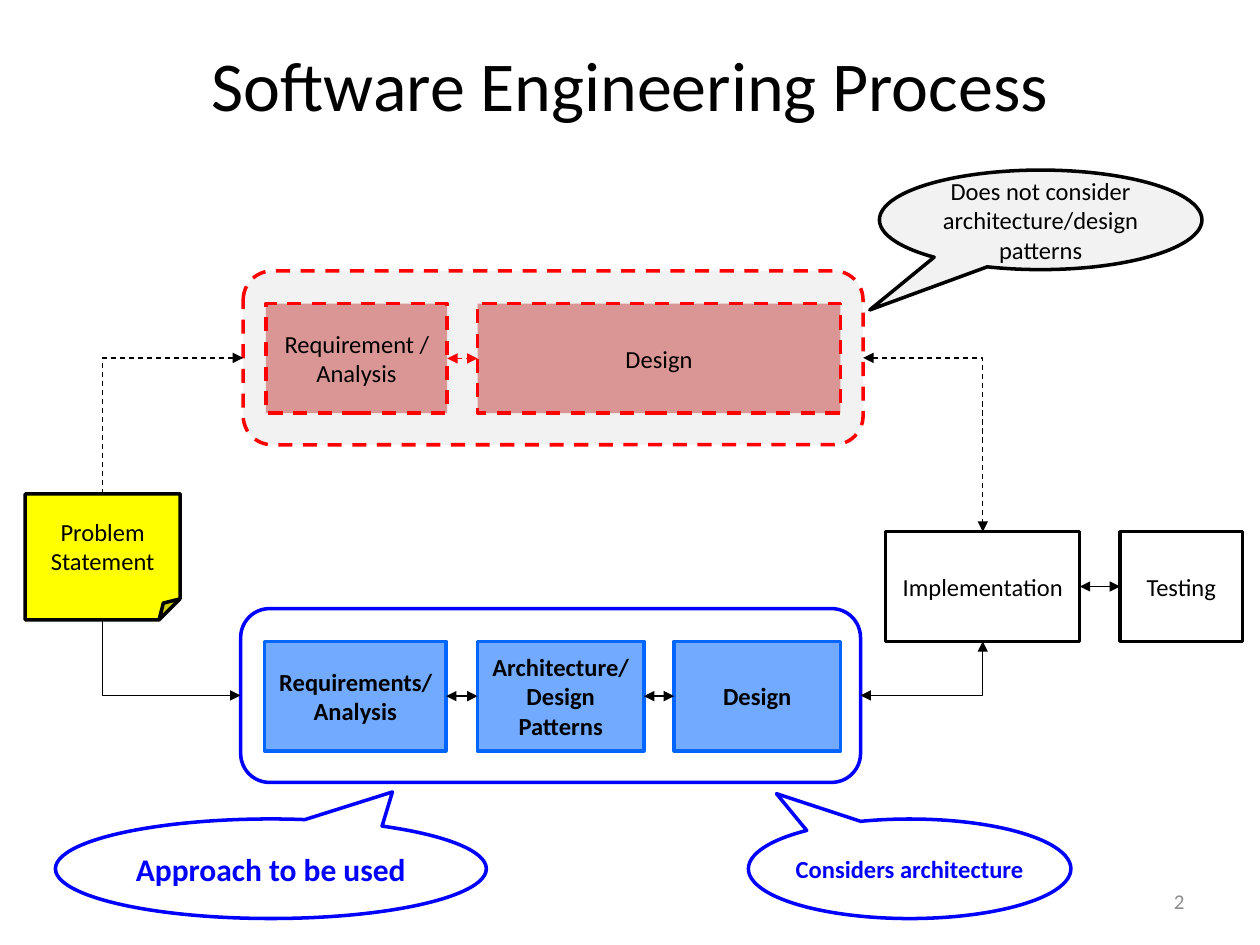
from dataclasses import dataclass

from lxml.etree import SubElement
from pptx import Presentation
from pptx.dml.color import RGBColor
from pptx.enum.dml import MSO_LINE
from pptx.enum.shapes import MSO_CONNECTOR, MSO_SHAPE
from pptx.enum.text import MSO_ANCHOR, PP_ALIGN
from pptx.oxml.ns import qn
from pptx.util import Inches, Pt

TOP, LEFT, BOTTOM, RIGHT = range(4)  # connection sites of a box


@dataclass(frozen=True)
class Theme:
    font: str = "Calibri"
    black: str = "000000"
    white: str = "FFFFFF"
    grey: str = "F2F2F2"
    number_grey: str = "8C8C8C"
    red: str = "FF0000"
    rose: str = "D99694"
    blue: str = "0000FF"
    sky: str = "71AAFF"
    azure: str = "0066FF"
    yellow: str = "FFFF00"
    title_size: int = 40
    large_size: int = 18
    body_size: int = 14
    number_size: int = 12
    outline: float = 2
    arrow: float = 0.75


class ProcessSlide:
    def __init__(self, slide, theme):
        self.shapes = slide.shapes
        self.theme = theme

    def label(self, shape, text, size, color, bold=False, align=PP_ALIGN.CENTER):
        frame = shape.text_frame
        frame.word_wrap = True
        frame.vertical_anchor = MSO_ANCHOR.MIDDLE
        paragraph = frame.paragraphs[0]
        paragraph.text = text
        paragraph.alignment = align
        font = paragraph.font
        font.name, font.size, font.bold = self.theme.font, Pt(size), bold
        font.color.rgb = RGBColor.from_string(color)

    def text(self, text, place, size, color, align=PP_ALIGN.CENTER):
        box = self.shapes.add_textbox(*map(Inches, place))
        self.label(box, text, size, color, align=align)

    def stroke(self, line, color, width, dashed):
        line.color.rgb = RGBColor.from_string(color)
        line.width = Pt(width)
        if dashed:
            line.dash_style = MSO_LINE.DASH

    def box(self, text, place, fill=None, line=Theme.black, kind=MSO_SHAPE.RECTANGLE,
            dashed=False, bold=False, color=Theme.black, size=Theme.body_size):
        shape = self.shapes.add_shape(kind, *map(Inches, place))
        shape.shadow.inherit = False
        if fill:
            shape.fill.solid()
            shape.fill.fore_color.rgb = RGBColor.from_string(fill)
        else:
            shape.fill.background()
        self.stroke(shape.line, line, self.theme.outline, dashed)
        if text:
            self.label(shape, text, size, color, bold)
        return shape

    def callout(self, text, place, tip, **style):
        """tip is the pointer's offset from the centre, in widths and heights."""
        bubble = self.box(text, place, kind=MSO_SHAPE.OVAL_CALLOUT, **style)
        bubble.adjustments[0], bubble.adjustments[1] = tip
        bubble.text_frame.margin_left = bubble.text_frame.margin_right = 0

    def arrow(self, start, start_site, end, end_site, color=Theme.black,
              dashed=False, bent=False, both=True):
        kind = MSO_CONNECTOR.ELBOW if bent else MSO_CONNECTOR.STRAIGHT
        connector = self.shapes.add_connector(kind, 0, 0, 0, 0)
        connector.begin_connect(start, start_site)
        connector.end_connect(end, end_site)
        self.stroke(connector.line, color, self.theme.arrow, dashed)
        properties = connector._element.spPr
        if bent:
            properties.find(qn("a:prstGeom")).set("prst", "bentConnector2")
        line = properties.find(qn("a:ln"))
        for end_name in ("headEnd", "tailEnd") if both else ("headEnd",):
            SubElement(line, qn(f"a:{end_name}"), type="triangle")
        SubElement(properties, qn("a:effectLst"))


def main():
    theme = Theme()
    presentation = Presentation()
    presentation.slide_width, presentation.slide_height = Inches(10), Inches(7.5)
    page = ProcessSlide(presentation.slides.add_slide(presentation.slide_layouts[6]), theme)

    old_top, new_top, delivery_top, step_height = 2.41, 5.09, 4.22, 0.87
    phase_size = (4.92, 1.38)
    new_phase = page.box("", (1.91, 4.83, *phase_size), theme.white, theme.blue,
                         MSO_SHAPE.ROUNDED_RECTANGLE)
    old_phase = page.box("", (1.93, 2.15, *phase_size), theme.grey, theme.red,
                         MSO_SHAPE.ROUNDED_RECTANGLE, dashed=True)
    page.text("Software Engineering Process", (0.5, 0.04, 9, 1.25),
              theme.title_size, theme.black)

    old_steps = [
        page.box(text, (left, old_top, width, step_height), theme.rose, theme.red, dashed=True)
        for text, left, width in (("Requirement /Analysis", 2.11, 1.44), ("Design", 3.79, 2.88))
    ]
    problem = page.box("Problem Statement", (0.2, 3.92, 1.23, 1), theme.yellow,
                       kind=MSO_SHAPE.FOLDED_CORNER)
    implementation, testing = [
        page.box(text, (left, delivery_top, width, step_height))
        for text, left, width in (("Implementation", 7.03, 1.54), ("Testing", 8.89, 0.97))
    ]
    page.callout("Does not consider architecture/design patterns",
                 (6.98, 1.35, 2.56, 0.79), (-0.53, 0.905), fill=theme.grey)
    new_steps = [
        page.box(text, (left, new_top, width, step_height), theme.sky, theme.azure, bold=True)
        for text, left, width in (("Requirements/Analysis", 2.1, 1.44),
                                  ("Architecture/Design Patterns", 3.79, 1.32),
                                  ("Design", 5.35, 1.32))
    ]

    page.arrow(old_steps[0], RIGHT, old_steps[1], LEFT, theme.red, dashed=True)
    for before, after in (*zip(new_steps, new_steps[1:]), (implementation, testing)):
        page.arrow(before, RIGHT, after, LEFT)
    for phase, site, dashed in ((old_phase, TOP, True), (new_phase, BOTTOM, False)):
        page.arrow(phase, RIGHT, implementation, site, dashed=dashed, bent=True)
        page.arrow(phase, LEFT, problem, site, dashed=dashed, bent=True, both=False)

    for text, left, width, tip, size in (
        ("Considers architecture", 5.94, 2.56, (-0.413, -0.755), theme.body_size),
        ("Approach to be used", 0.44, 3.42, (0.282, -0.772), theme.large_size),
    ):
        page.callout(text, (left, 6.5, width, 0.79), tip, fill=theme.white,
                     line=theme.blue, color=theme.blue, bold=True, size=size)
    page.text("2", (7.17, 6.95, 2.33, 0.4), theme.number_size, theme.number_grey,
              PP_ALIGN.RIGHT)
    presentation.save("out.pptx")


if __name__ == "__main__":
    main()
